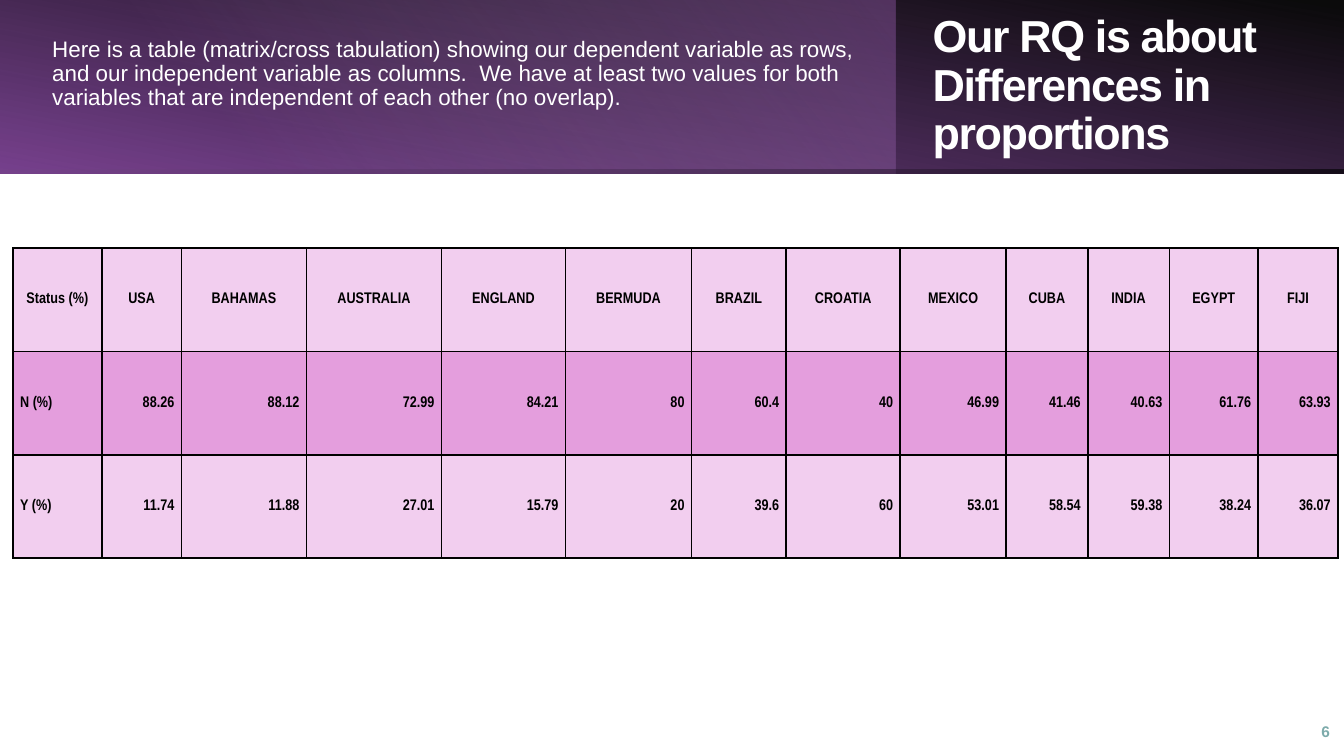
from dataclasses import dataclass

from lxml import etree
from pptx import Presentation
from pptx.dml.color import RGBColor
from pptx.enum.shapes import MSO_SHAPE
from pptx.enum.text import MSO_ANCHOR, PP_ALIGN
from pptx.oxml import parse_xml
from pptx.oxml.ns import nsdecls, qn
from pptx.util import Inches, Pt

RECT = MSO_SHAPE.RECTANGLE
MIDDLE = MSO_ANCHOR.MIDDLE
LEFT, CENTER, RIGHT = PP_ALIGN.LEFT, PP_ALIGN.CENTER, PP_ALIGN.RIGHT


@dataclass(frozen=True)
class Theme:
    """Colours, fonts and type sizes of the slide."""
    black: str = "000000"
    white: str = "FFFFFF"
    purple: str = "77418E"
    violet: str = "9C5FB5"
    lilac: str = "C49FD3"
    teal: str = "7DABAB"
    row_light: str = "F2CEEF"
    row_dark: str = "E49EDD"
    font: str = "Arial"
    table_font: str = "Arial Narrow"
    title_size: int = 32
    body_size: int = 16
    small_size: int = 11
    border: float = 1.5


T = Theme()

INTRO = ("Here is a table (matrix/cross tabulation) showing our dependent variable as rows, "
         "and our independent variable as columns.  We have at least two values for both "
         "variables that are independent of each other (no overlap).")
COL_WIDTHS = [0.88, 0.79, 1.24, 1.34, 1.23, 1.25, 0.94, 1.13, 1.05, 0.81, 0.81, 0.88, 0.79]
ROWS = [
    ["Status (%)", "USA", "BAHAMAS", "AUSTRALIA", "ENGLAND", "BERMUDA", "BRAZIL",
     "CROATIA", "MEXICO", "CUBA", "INDIA", "EGYPT", "FIJI"],
    ["N (%)", "88.26", "88.12", "72.99", "84.21", "80", "60.4",
     "40", "46.99", "41.46", "40.63", "61.76", "63.93"],
    ["Y (%)", "11.74", "11.88", "27.01", "15.79", "20", "39.6",
     "60", "53.01", "58.54", "59.38", "38.24", "36.07"],
]


def style(p, size, color, bold=False, font=T.font, align=LEFT):
    """Set the font and alignment of a paragraph."""
    p.alignment = align
    p.font.name, p.font.size, p.font.bold = font, Pt(size), bold
    p.font.color.rgb = RGBColor.from_string(color)


def gradient_rect(s, x, y, w, h, stops, angle, rotation=0, flip=False):
    """Draw a rectangle filled with (position, colour, opacity) stops, all in percent."""
    sp = s.shapes.add_shape(RECT, Inches(x), Inches(y), Inches(w), Inches(h))
    sp.shadow.inherit = False
    sp.line.fill.background()
    sp.rotation = rotation
    sp_pr = sp._element.spPr
    if flip:
        sp_pr.find(qn("a:xfrm")).set("flipH", "1")
    gs = "".join(f'<a:gs pos="{pos * 1000}"><a:srgbClr val="{color}">'
                 f'<a:alpha val="{alpha * 1000}"/></a:srgbClr></a:gs>'
                 for pos, color, alpha in stops)
    sp_pr.find(qn("a:prstGeom")).addnext(parse_xml(
        f'<a:gradFill {nsdecls("a")}><a:gsLst>{gs}</a:gsLst>'
        f'<a:lin ang="{angle * 60000}" scaled="0"/></a:gradFill>'))


def add_banner(s, x, y, w, h):
    """Layer three gradients into the banner."""
    gradient_rect(s, x, y, w, h, [(0, T.black, 96), (100, T.purple, 100)], 260, 180, True)
    gradient_rect(s, x, y, w * 2 / 3, h, [(26, T.lilac, 0), (100, T.violet, 41)], 320)
    gradient_rect(s, x, y, w, h, [(22, T.violet, 15), (100, T.black, 63)], 100, flip=True)


def add_intro(s, x, y, w, h):
    """Write the explanation on the left of the banner."""
    tf = s.shapes.add_textbox(Inches(x), Inches(y), Inches(w), Inches(h)).text_frame
    tf.word_wrap = True
    tf.vertical_anchor = MIDDLE
    tf.margin_bottom = Inches(0.35)
    p = tf.paragraphs[0]
    p.text = INTRO
    p.line_spacing = 0.9
    style(p, T.body_size, T.white)


def add_title(s, x, y, w, h):
    """Place the title on the right of the banner."""
    title = s.shapes.title
    title.left, title.top, title.width, title.height = map(Inches, (x, y, w, h))
    s.shapes._spTree.append(title._element)
    tf = title.text_frame
    tf.word_wrap = True
    tf.vertical_anchor = MIDDLE
    p = tf.paragraphs[0]
    r = p.add_run()
    r.text = "Our RQ is about Differences in proportions"
    r._r.get_or_add_rPr().set("spc", "-100")
    p.line_spacing = 0.9
    style(p, T.title_size, T.white, bold=True)


def add_slide_number(s, x, y, w, h):
    """Write the slide number in the bottom corner."""
    tf = s.shapes.add_textbox(Inches(x), Inches(y), Inches(w), Inches(h)).text_frame
    tf.word_wrap = True
    tf.vertical_anchor = MIDDLE
    p = tf.paragraphs[0]
    p.text = "6"
    style(p, T.small_size, T.teal, bold=True, align=RIGHT)


def add_borders(cell):
    """Outline a cell on all four sides."""
    tc_pr = cell._tc.get_or_add_tcPr()
    for side in ("lnL", "lnR", "lnT", "lnB"):
        ln = etree.SubElement(tc_pr, qn(f"a:{side}"), w=str(Pt(T.border)))
        fill = etree.SubElement(ln, qn("a:solidFill"))
        etree.SubElement(fill, qn("a:srgbClr"), val=T.black)


def add_status_table(s, x, y, h):
    """Build the table of status by country."""
    table = s.shapes.add_table(len(ROWS), len(COL_WIDTHS), Inches(x), Inches(y),
                               Inches(sum(COL_WIDTHS)), Inches(h)).table
    table.first_row = table.horz_banding = False
    for column, width in zip(table.columns, COL_WIDTHS):
        column.width = Inches(width)
    for i, row in enumerate(ROWS):
        for j, text in enumerate(row):
            cell = table.cell(i, j)
            add_borders(cell)
            cell.fill.solid()
            cell.fill.fore_color.rgb = RGBColor.from_string(T.row_dark if i % 2 else T.row_light)
            cell.vertical_anchor = MIDDLE
            cell.margin_left = cell.margin_right = Inches(0.07)
            cell.margin_top = cell.margin_bottom = Inches(0.01)
            p = cell.text_frame.paragraphs[0]
            p.text = text
            align = CENTER if i == 0 else LEFT if j == 0 else RIGHT
            style(p, T.small_size, T.black, True, T.table_font, align)


def main():
    """Build and save the slide."""
    prs = Presentation()
    prs.slide_width, prs.slide_height = Inches(13.33), Inches(7.5)
    s = prs.slides.add_slide(prs.slide_layouts[5])
    add_banner(s, 0, 0, 13.33, 1.72)
    add_intro(s, 0.42, 0.13, 8.24, 1.51)
    add_title(s, 9.15, 0.38, 3.54, 0.96)
    add_slide_number(s, 12.8, 7.06, 0.49, 0.4)
    add_status_table(s, 0.13, 2.46, 3.08)
    prs.save("out.pptx")


if __name__ == "__main__":
    main()
